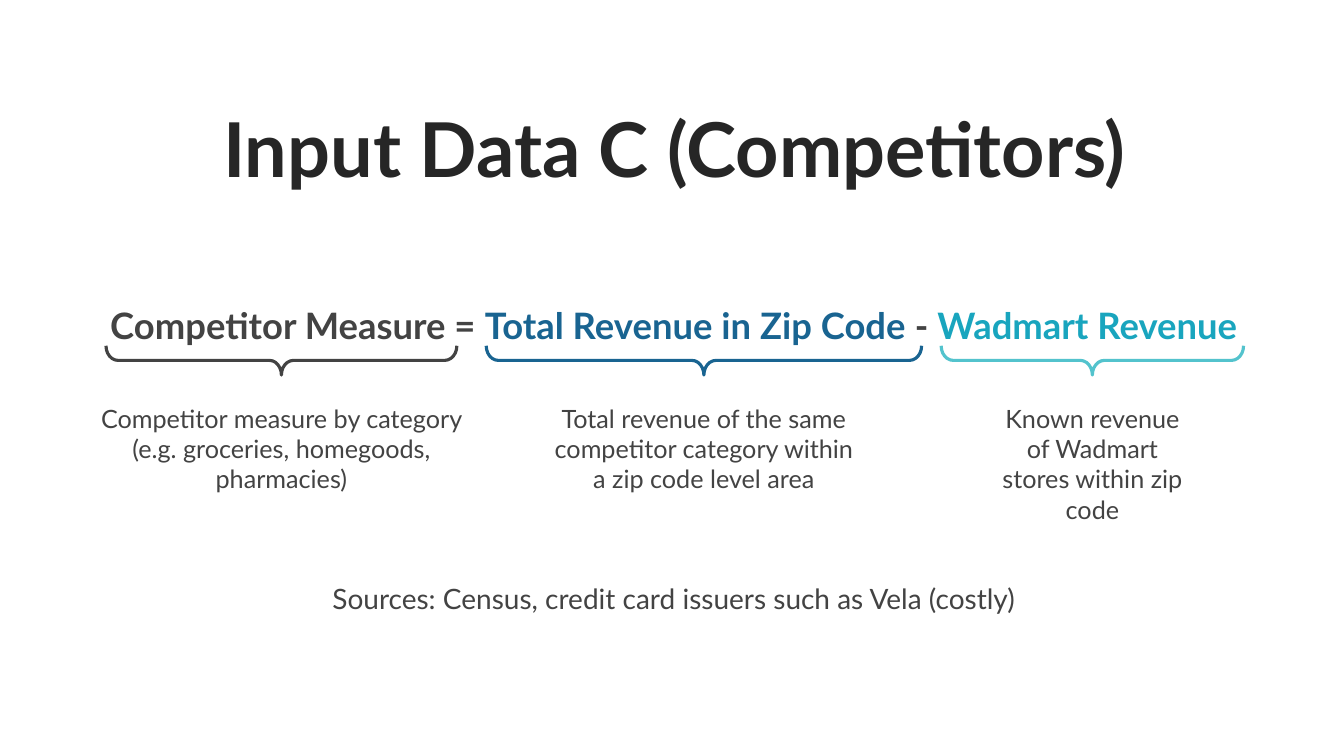
import pptx
import pptx.util
import pptx.dml.color
import pptx.enum.shapes
import pptx.enum.text

Pt = pptx.util.Pt
COLORS = {"title": "262626", "text": "434343", "total": "196491",
          "known": "19A5BE", "known_brace": "53C3CD"}


def style(run, size, color, bold=False):
    run.font.name = "Lato"
    run.font.size = Pt(size)
    run.font.bold = bold
    run.font.color.rgb = pptx.dml.color.RGBColor.from_string(COLORS[color])


def add_centered_box(left, top, width, height):
    frame = slide.shapes.add_textbox(Pt(left), Pt(top), Pt(width), Pt(height)).text_frame
    frame.word_wrap = True
    frame.margin_left = frame.margin_right = Pt(7.2)
    frame.margin_top = frame.margin_bottom = Pt(7.2)
    frame.paragraphs[0].alignment = pptx.enum.text.PP_ALIGN.CENTER
    return frame


deck = pptx.Presentation()
deck.slide_width, deck.slide_height = Pt(960), Pt(540)
slide = deck.slides.add_slide(deck.slide_layouts[5])

title = slide.shapes.title
title.left, title.top, title.width, title.height = Pt(25.2), Pt(80.6), Pt(913), Pt(57)
title.text_frame.text = "Input Data C (Competitors)"
title.text_frame.auto_size = pptx.enum.text.MSO_AUTO_SIZE.NONE
title.text_frame.vertical_anchor = pptx.enum.text.MSO_ANCHOR.MIDDLE
heading = title.text_frame.paragraphs[0]
heading.alignment = pptx.enum.text.PP_ALIGN.CENTER
heading.line_spacing = 0.9
style(heading.runs[0], 54, "title", True)

formula = add_centered_box(67, 209, 828.7, 238)
for term, color in [("Competitor Measure = ", "text"), ("Total Revenue in Zip Code", "total"),
                    (" - ", "text"), ("Wadmart Revenue", "known")]:
    run = formula.paragraphs[0].add_run()
    run.text = term
    style(run, 26, color, True)

sources = formula.add_paragraph()
sources.text = "Sources: Census, credit card issuers such as Vela (costly)"
sources.alignment = pptx.enum.text.PP_ALIGN.CENTER
sources.space_before = Pt(168)
style(sources.runs[0], 20, "text")

BRACE_DEPTH, BRACE_MIDDLE = 20.9, 257.4
terms = [
    (201, 250.6, 273, "text",
     "Competitor measure by category (e.g. groceries, homegoods, pharmacies)"),
    (502.8, 311, 232, "total",
     "Total revenue of the same competitor category within a zip code level area"),
    (780.3, 216, 154, "known_brace",
     "Known revenue of Wadmart stores within zip code"),
]
for center, span, text_width, color, explanation in terms:
    brace = slide.shapes.add_shape(
        pptx.enum.shapes.MSO_SHAPE.LEFT_BRACE, Pt(center - BRACE_DEPTH / 2),
        Pt(BRACE_MIDDLE - span / 2), Pt(BRACE_DEPTH), Pt(span))
    brace.rotation = 270
    brace.adjustments[0] = 0.41
    brace.adjustments[1] = 0.5
    brace.shadow.inherit = False
    brace.fill.background()
    brace.line.color.rgb = pptx.dml.color.RGBColor.from_string(COLORS[color])
    brace.line.width = Pt(2.25)

    note = add_centered_box(center - text_width / 2, 280.8, text_width, 78.5)
    note.paragraphs[0].text = explanation
    style(note.paragraphs[0].runs[0], 18, "text")

deck.save("out.pptx")
